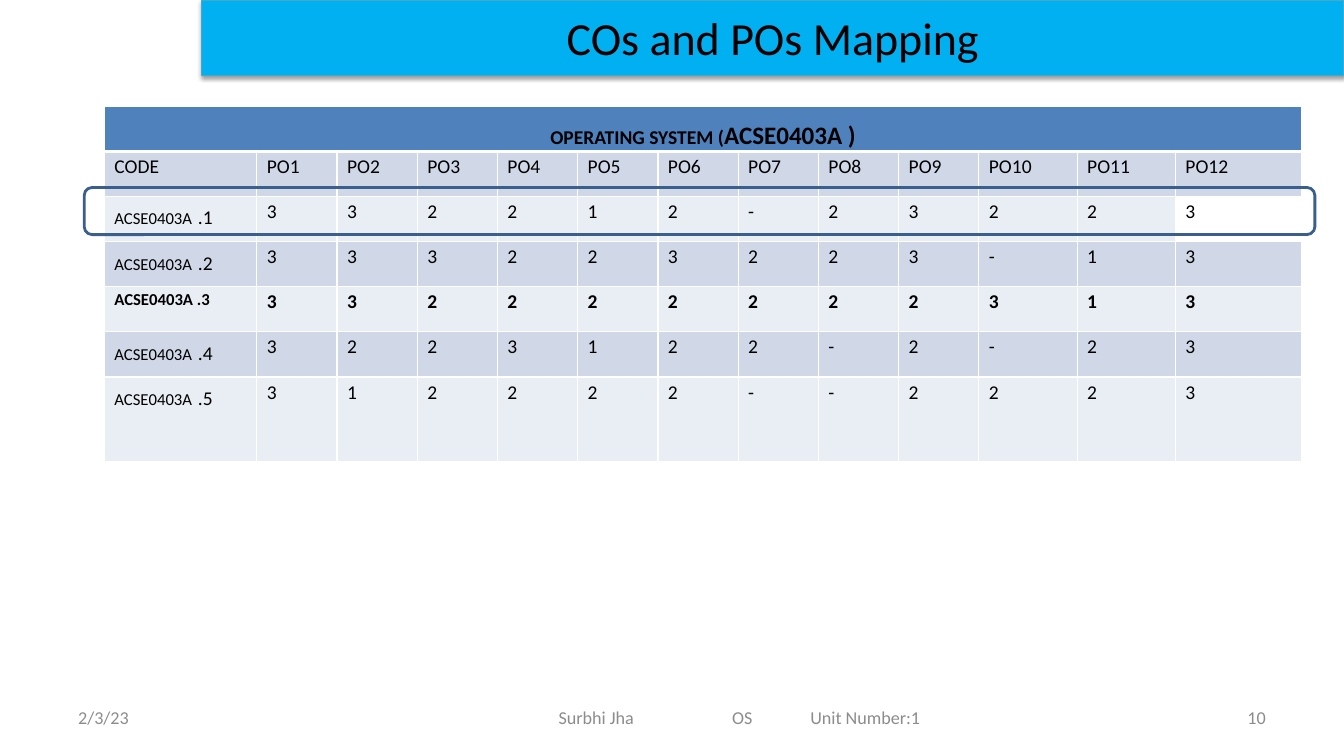
from lxml.etree import SubElement
from pptx import Presentation
from pptx.dml.color import RGBColor
from pptx.enum.shapes import MSO_SHAPE
from pptx.enum.text import MSO_ANCHOR, PP_ALIGN
from pptx.oxml.ns import qn
from pptx.util import Inches, Pt

HUES = {
    "ink": "000000", "grey": "8C8C8C", "white": "FFFFFF",
    "sky": "00B0F0", "teal": "46AAC5", "navy": "3A5F8C",
    "head": "4F81BD", "dark": "D0D8E8", "light": "E9EDF4",
}
CODE = "ACSE0403A"
MARKS = ["332212-23223", "333223223-13", "332222222313", "3223122-2-23", "312222--2223"]
WIDTHS = [1.52] + [0.8] * 9 + [0.98, 0.98, 1.26]
HEIGHTS = [0.45] * 6 + [0.84]


def hue(name):
    """Return the named colour."""
    return RGBColor.from_string(HUES[name])


def node(parent, tag, **attrs):
    """Add a drawing element to its parent."""
    return SubElement(parent, qn("a:" + tag), attrs)


def write(frame, *runs, color="ink", bold=False, align=PP_ALIGN.LEFT,
          line=None, after=None, tabs=()):
    """Fill a text frame with one paragraph of (text, size) runs."""
    para = frame.paragraphs[0]
    para.alignment, para.line_spacing = align, line
    if after:
        para.space_after = Pt(after)
    if tabs:
        stops = node(para._p.get_or_add_pPr(), "tabLst")
        for stop in tabs:
            node(stops, "tab", pos=str(Inches(stop)), algn="l")
    for text, size in runs:
        run = para.add_run()
        run.text = text
        font = run.font
        font.name, font.size, font.bold = "Calibri", Pt(size), bold
        font.color.rgb = hue(color)


def pad(frame, left=0.11):
    """Set wrap, insets and middle anchor of a frame."""
    frame.word_wrap = True
    frame.vertical_anchor = MSO_ANCHOR.MIDDLE
    frame.margin_left, frame.margin_right = Inches(left), Inches(0.11)
    frame.margin_top = frame.margin_bottom = Inches(0.05)


def panel(slide, kind, box, fill, line, width):
    """Draw an outlined shape, filled if a fill is named."""
    shape = slide.shapes.add_shape(kind, *map(Inches, box))
    shape.shadow.inherit = False
    if fill:
        shape.fill.solid()
        shape.fill.fore_color.rgb = hue(fill)
    else:
        shape.fill.background()
    shape.line.color.rgb = hue(line)
    shape.line.width = Pt(width)
    return shape


def banner(slide, box):
    """Draw the title bar with its soft shadow."""
    bar = panel(slide, MSO_SHAPE.RECTANGLE, box, "sky", "teal", 0.75)
    shade = node(bar._element.spPr.find(qn("a:effectLst")), "outerShdw",
                 blurRad=str(Pt(3.1)), dist=str(Pt(1.6)), dir="5400000", rotWithShape="0")
    node(node(shade, "srgbClr", val=HUES["ink"]), "alpha", val="38000")
    pad(bar.text_frame)
    write(bar.text_frame, ("COs and POs Mapping", 33), align=PP_ALIGN.CENTER)


def dress(cell, fill, top=1, base=1):
    """Set the insets, borders and fill of a cell."""
    cell.margin_left = cell.margin_right = Inches(0.1)
    cell.margin_top = cell.margin_bottom = 0
    props = cell._tc.get_or_add_tcPr()
    for side, width in zip("LRTB", (1, 1, top, base)):
        edge = node(props, "ln" + side, w=str(Pt(width)))
        node(node(edge, "solidFill"), "srgbClr", val=HUES["white"])
    if fill:
        cell.fill.solid()
        cell.fill.fore_color.rgb = hue(fill)
    else:
        cell.fill.background()


def grid(slide, box):
    """Draw the mapping table and the frame around its first outcome."""
    left, top, wide, high = box
    table = slide.shapes.add_table(len(HEIGHTS), len(WIDTHS), *map(Inches, box)).table
    table.first_row = table.horz_banding = False
    for col, width in zip(table.columns, WIDTHS):
        col.width = Inches(width)
    for row, height in zip(table.rows, HEIGHTS):
        row.height = Inches(height)

    for cell in table.rows[0].cells:
        dress(cell, "head", base=3)
    head = table.cell(0, 0)
    head.merge(table.cell(0, len(WIDTHS) - 1))
    head.vertical_anchor = MSO_ANCHOR.BOTTOM
    write(head.text_frame, ("OPERATING SYSTEM (", 14), (CODE + " )", 18),
          bold=True, align=PP_ALIGN.CENTER, line=1.15)

    rows = [["CODE"] + [f"PO{n}" for n in range(1, 13)]]
    rows += [[f".{n}", *marks] for n, marks in enumerate(MARKS, 1)]
    for r, row in enumerate(rows, 1):
        bold = r == 4
        for c, text in enumerate(row):
            runs = [(text, 14)]
            if c == 0 and bold:
                runs = [(f"{CODE} {text}", 12)]
            elif c == 0 and r > 1:
                runs = [(CODE, 12), (" ", 18), (text, 14)]
            fill = "dark" if r % 2 else "light"
            if (r, c) == (2, 12):
                fill = None
            cell = table.cell(r, c)
            dress(cell, fill, top=3 if r == 1 else 1)
            write(cell.text_frame, *runs, bold=bold, line=1.15, after=10)

    mark = (left - 0.2, top + 0.81, wide + 0.35, 0.47)
    panel(slide, MSO_SHAPE.ROUNDED_RECTANGLE, mark, None, "navy", 2)


def footer(slide, box):
    """Place the date, the course line and the page number."""
    left, top, wide, high = box
    parts = [
        (0, 3.13, "2/3/23", 0.11, PP_ALIGN.LEFT, ()),
        (3.01, 7.37, "Surbhi Jha\tOS\tUnit Number:1", 1.89, PP_ALIGN.LEFT, (1.73, 2.51)),
        (wide - 3.13, 3.13, "10", 0.11, PP_ALIGN.RIGHT, ()),
    ]
    for x, width, text, inset, align, tabs in parts:
        area = map(Inches, (left + x, top, width, high))
        frame = slide.shapes.add_textbox(*area).text_frame
        pad(frame, inset)
        write(frame, (text, 13), color="grey", align=align, tabs=tabs)


def main():
    """Build and save the slide."""
    deck = Presentation()
    deck.slide_width, deck.slide_height = Inches(13.4), Inches(7.5)
    slide = deck.slides.add_slide(deck.slide_layouts[6])
    grid(slide, (1.04, 1.06, 11.92, 3.52))
    banner(slide, (2.01, 0, 11.39, 0.75))
    footer(slide, (0.67, 6.95, 12.06, 0.4))
    deck.save("out.pptx")


if __name__ == "__main__":
    main()
